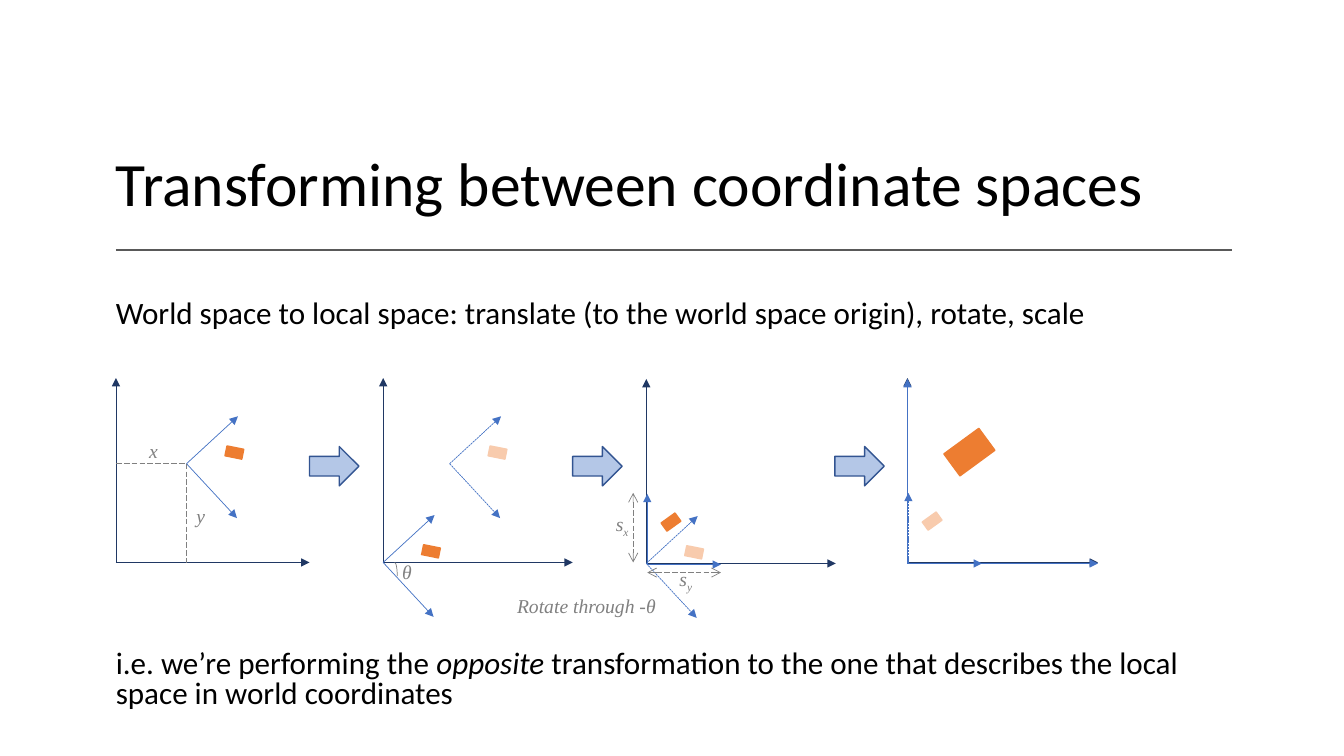
import pptx
import pptx.util
import pptx.dml.color
import pptx.enum.dml
import pptx.enum.shapes
import pptx.enum.text
import pptx.oxml.ns
import lxml.etree

Inches, Pt = pptx.util.Inches, pptx.util.Pt
RGB = pptx.dml.color.RGBColor
SHAPE = pptx.enum.shapes.MSO_SHAPE
DASH = pptx.enum.dml.MSO_LINE

BLACK = RGB(0x00, 0x00, 0x00)
RULE = RGB(0x59, 0x59, 0x59)
GREY = RGB(0x80, 0x80, 0x80)
NAVY = RGB(0x20, 0x38, 0x64)
BLUE = RGB(0x44, 0x72, 0xC4)
PALE_BLUE = RGB(0xB4, 0xC7, 0xE7)
STEP_EDGE = RGB(0x32, 0x54, 0x91)
ORANGE = RGB(0xED, 0x7D, 0x31)
PALE_ORANGE = RGB(0xF8, 0xCB, 0xAD)

# Content
TITLE = "Transforming between coordinate spaces"
STATEMENTS = [
    [("World space to local space: translate (to the world space origin), rotate, scale", False)],
    [("i.e. we’re performing the ", False), ("opposite", True),
     (" transformation to the one that describes the local space in world coordinates", False)],
]
STATEMENT_GAP = 229  # points left free for the diagrams

# World axes: origin x, origin y, length of the horizontal axis, colour
AXIS_HEIGHT = 1.83
WORLD_AXES = [
    (1.15, 5.58, 1.92, NAVY),
    (3.80, 5.58, 1.88, NAVY),
    (6.41, 5.59, 1.88, NAVY),
    (9.00, 5.58, 1.89, NAVY),
    (9.00, 5.59, 1.89, BLUE),
]

# Local frames: two arms, then the box as offset, size and rotation
TILTED = ((0.51, -0.47), (0.5, 0.54), (0.39, -0.16, 0.17, 0.1, 11.3))
UPRIGHT = ((0, -0.7), (0.73, 0), (0.15, -0.47, 0.17, 0.1, 324.2))
# Frame, origin x, origin y, whether it shows the previous step
LOCAL_FRAMES = [
    (TILTED, 1.85, 4.60, False),
    (TILTED, 4.46, 4.60, True),
    (TILTED, 3.80, 5.58, False),
    (TILTED, 6.41, 5.59, True),
    (UPRIGHT, 6.42, 5.60, False),
    (UPRIGHT, 9.01, 5.59, True),
]
SCALED_BOX = (9.4, 4.35, 0.43, 0.27, 323.8)
STEP_LEFTS = [3.07, 5.68, 8.28]

# Measures: start, end, whether both ends carry arrowheads
MEASURES = [
    ((1.15, 4.6), (1.85, 4.6), False),
    ((1.85, 4.6), (1.85, 5.59), False),
    ((6.28, 4.89), (6.28, 5.58), True),
    ((6.42, 5.68), (7.15, 5.68), True),
]
# Labels: text, subscript, left, top, width
LABELS = [
    ("x", "", 1.38, 4.31, 0.38),
    ("y", "", 1.85, 4.95, 0.38),
    ("θ", "", 3.89, 5.51, 0.29),
    ("Rotate through -θ", "", 5.03, 5.84, 1.64),
    ("s", "x", 6.01, 5.03, 0.36),
    ("s", "y", 6.64, 5.58, 0.36),
]

presentation = pptx.Presentation()
presentation.slide_width, presentation.slide_height = Inches(13.33), Inches(7.5)
slide = presentation.slides.add_slide(presentation.slide_layouts[5])


def add_line(start, end, color, width=0.5, dash=None, head=None, tail=None):
    line = slide.shapes.add_connector(
        pptx.enum.shapes.MSO_CONNECTOR.STRAIGHT, *map(Inches, (*start, *end)))
    line.line.color.rgb = color
    line.line.width = Pt(width)
    if dash:
        line.line.dash_style = dash
    for tag, kind in (("a:headEnd", head), ("a:tailEnd", tail)):
        if kind:
            end_mark = lxml.etree.SubElement(line.line._ln, pptx.oxml.ns.qn(tag))
            end_mark.set("type", kind)
    lxml.etree.SubElement(line._element.spPr, pptx.oxml.ns.qn("a:effectLst"))


def add_shape(preset, left, top, width, height, rotation=0, fill=None, edge=None, edge_width=1):
    shape = slide.shapes.add_shape(preset, *map(Inches, (left, top, width, height)))
    shape.rotation = rotation
    shape.shadow.inherit = False
    if fill is None:
        shape.fill.background()
    else:
        shape.fill.solid()
        shape.fill.fore_color.rgb = fill
    shape.line.color.rgb = edge
    shape.line.width = Pt(edge_width)


def add_text_frame(left, top, width, height):
    frame = slide.shapes.add_textbox(*map(Inches, (left, top, width, height))).text_frame
    frame.word_wrap = True
    return frame


def set_font(paragraph, name, size, color):
    paragraph.font.name = name
    paragraph.font.size = Pt(size)
    paragraph.font.color.rgb = color


# Title and rule
title = slide.shapes.title
title.left, title.top, title.width, title.height = map(Inches, (1.05, 1.07, 11.58, 1.16))
title.text_frame.text = TITLE
title.text_frame.auto_size = pptx.enum.text.MSO_AUTO_SIZE.NONE
title.text_frame.vertical_anchor = pptx.enum.text.MSO_ANCHOR.BOTTOM
heading = title.text_frame.paragraphs[0]
heading.alignment = pptx.enum.text.PP_ALIGN.LEFT
heading.line_spacing = 0.9
set_font(heading, "Calibri", 44, BLACK)
add_line((1.15, 2.48), (12.22, 2.48), RULE, 1.25)

# Statements above and below the diagrams
body = add_text_frame(1.05, 2.93, 11.24, 4.25)
for index, pieces in enumerate(STATEMENTS):
    statement = body.add_paragraph() if index else body.paragraphs[0]
    statement.line_spacing = 0.8
    if index:
        statement.space_before = Pt(STATEMENT_GAP)
    set_font(statement, "Calibri", 22.2, BLACK)
    for text, italic in pieces:
        run = statement.add_run()
        run.text = text
        if italic:
            run.font.italic = True

# World axes
for x, y, length, color in WORLD_AXES:
    for end in ((x, y - AXIS_HEIGHT), (x + length, y)):
        add_line((x, y), end, color, tail="triangle")

# Local frames and their boxes
for (*arms, (dx, dy, *box)), x, y, previous in LOCAL_FRAMES:
    for arm_x, arm_y in arms:
        add_line((x, y), (x + arm_x, y + arm_y), BLUE,
                 dash=DASH.SQUARE_DOT if previous else None, tail="triangle")
    color = PALE_ORANGE if previous else ORANGE
    add_shape(SHAPE.RECTANGLE, x + dx, y + dy, *box, fill=color, edge=color)
add_shape(SHAPE.RECTANGLE, *SCALED_BOX, fill=ORANGE, edge=ORANGE)

# Arrows between the steps
for left in STEP_LEFTS:
    add_shape(SHAPE.RIGHT_ARROW, left, 4.43, 0.49, 0.39, fill=PALE_BLUE, edge=STEP_EDGE)

# Measures, angle and labels
for start, end, arrows in MEASURES:
    mark = "arrow" if arrows else None
    add_line(start, end, GREY, dash=DASH.LONG_DASH, head=mark, tail=mark)
add_shape(SHAPE.ARC, 3.89, 5.58, 0.05, 0.27, edge=GREY, edge_width=0.5)
for text, subscript, left, top, width in LABELS:
    label = add_text_frame(left, top, width, 0.34).paragraphs[0]
    set_font(label, "Times New Roman", 14, GREY)
    label.font.italic = True
    label.add_run().text = text
    if subscript:
        lowered = label.add_run()
        lowered.text = subscript
        lowered.font._element.set("baseline", "-25000")

presentation.save("out.pptx")
